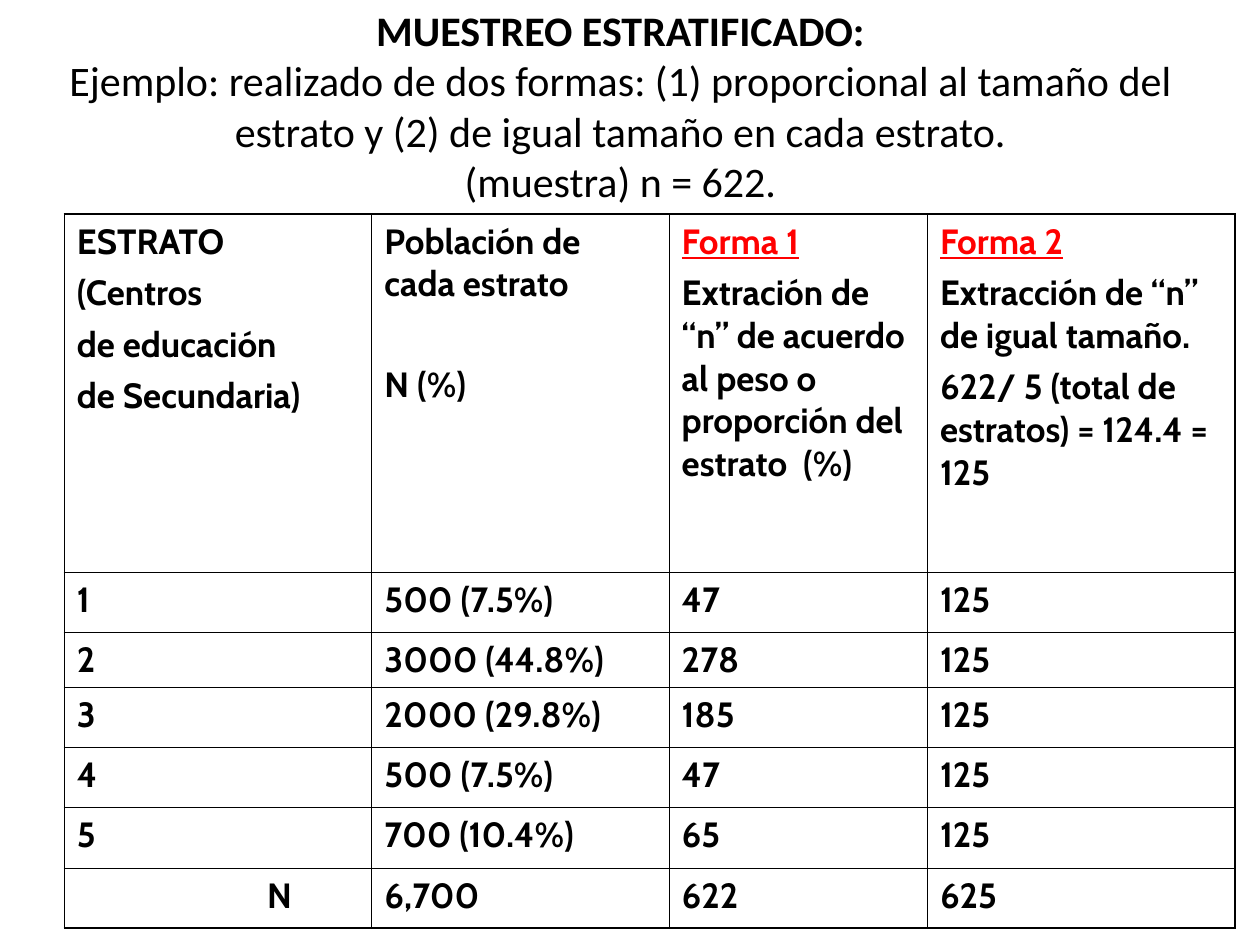
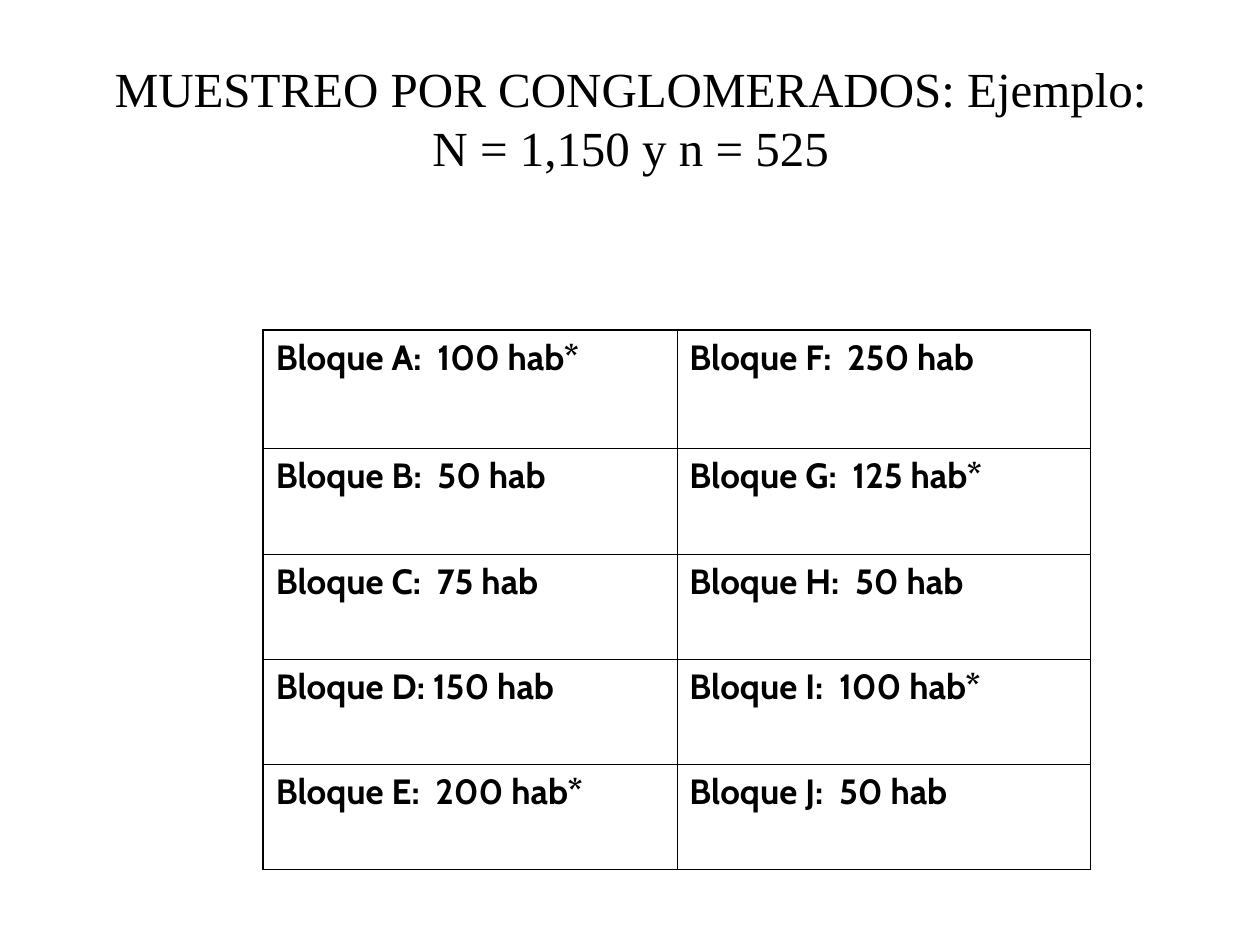
from collections import namedtuple
from dataclasses import dataclass, field

import pptx
import pptx.dml.color
import pptx.enum.text
import pptx.oxml
import pptx.oxml.ns
import pptx.util

Pt = pptx.util.Pt
RGB = pptx.dml.color.RGBColor.from_string

Box = namedtuple("Box", "left top width height")
Edges = namedtuple("Edges", "left right top bottom")


@dataclass(frozen=True)
class Theme:
    ink: str = "000000"
    paper: str = "FFFFFF"
    accent: str = "FF0000"
    table_font: str = "Cabin"
    table_size: float = 20
    space_before: float = 5
    inner_line: float = 0.45
    outer_line: float = 1.08


THEME = Theme()
HEADING = {"color": THEME.accent, "underline": True}


@dataclass
class Entry:
    """One paragraph of a table cell."""
    text: str
    look: dict = field(default_factory=dict)
    space_before: float = THEME.space_before


def format_font(font, look):
    for name, value in look.items():
        if name == "color":
            font.color.rgb = RGB(value)
        else:
            setattr(font, name, value)


def add_title(slide, box, lines, font_name, size, line_spacing=None, bottom_inset=3.6):
    """Centre the (text, bold) lines in the box, broken within one paragraph."""
    frame = slide.shapes.add_textbox(*map(Pt, box)).text_frame
    frame.word_wrap = True
    frame.vertical_anchor = pptx.enum.text.MSO_ANCHOR.MIDDLE
    frame.margin_bottom = Pt(bottom_inset)
    paragraph = frame.paragraphs[0]
    paragraph.alignment = pptx.enum.text.PP_ALIGN.CENTER
    if line_spacing:
        paragraph.line_spacing = Pt(line_spacing)
    for index, (text, bold) in enumerate(lines):
        if index:
            paragraph.add_line_break()
        run = paragraph.add_run()
        run.text = text
        format_font(run.font, {"name": font_name, "size": Pt(size),
                               "bold": bold, "color": THEME.ink})


def draw_borders(cell, widths):
    properties = cell._tc.get_or_add_tcPr()
    for tag, width in zip(("lnL", "lnR", "lnT", "lnB"), widths):
        properties.append(pptx.oxml.parse_xml(
            f'<a:{tag} {pptx.oxml.ns.nsdecls("a")} w="{Pt(width)}">'
            f'<a:solidFill><a:srgbClr val="{THEME.ink}"/></a:solidFill></a:{tag}>'))


def fill_cell(cell, content):
    entries = content if isinstance(content, list) else [Entry(content)]
    frame = cell.text_frame
    for index, entry in enumerate(entries):
        paragraph = frame.add_paragraph() if index else frame.paragraphs[0]
        paragraph.space_before = Pt(entry.space_before)
        run = paragraph.add_run()
        run.text = entry.text
        base = {"name": THEME.table_font, "size": Pt(THEME.table_size),
                "bold": True, "color": THEME.ink}
        format_font(run.font, base | entry.look)


def add_grid(slide, box, widths, heights, rows, outer):
    """Add a ruled table; outer gives the line widths of its four outside edges."""
    table = slide.shapes.add_table(len(heights), len(widths), *map(Pt, box)).table
    table.first_row = table.horz_banding = False
    for column, width in zip(table.columns, widths):
        column.width = Pt(width)
    for row, height in zip(table.rows, heights):
        row.height = Pt(height)
    last_row, last_column = len(heights) - 1, len(widths) - 1
    for r, row in enumerate(rows):
        for c, content in enumerate(row):
            cell = table.cell(r, c)
            on_edge = (c == 0, c == last_column, r == 0, r == last_row)
            draw_borders(cell, [edge if outside else THEME.inner_line
                                for edge, outside in zip(outer, on_edge)])
            cell.fill.solid()
            cell.fill.fore_color.rgb = RGB(THEME.paper)
            fill_cell(cell, content)
    return table


def build_stratified(slide):
    add_title(slide, Box(19.4, 15.1, 670.3, 90), [
        ("MUESTREO ESTRATIFICADO:", True),
        ("Ejemplo: realizado de dos formas: (1) proporcional al tamaño del "
         "estrato y (2) de igual tamaño en cada estrato.", False),
        ("(muestra) n = 622.", False),
    ], "Calibri", 24)

    header = [
        [Entry("ESTRATO"), Entry("(Centros"), Entry("de educación"),
         Entry("de Secundaria)")],
        [Entry("Población de cada estrato"), Entry("N (%)", space_before=33)],
        [Entry("Forma 1", HEADING),
         Entry("Extración de “n” de acuerdo al peso o proporción del estrato  (%)")],
        [Entry("Forma 2", HEADING), Entry("Extracción de “n” de igual tamaño."),
         Entry("622/ 5 (total de estratos) = 124.4 = 125")],
    ]
    strata = [
        ("1", "500 (7.5%)", "47", "125"),
        ("2", "3000 (44.8%)", "278", "125"),
        ("3", "2000 (29.8%)", "185", "125"),
        ("4", "500 (7.5%)", "47", "125"),
        ("5", "700 (10.4%)", "65", "125"),
    ]
    totals = ("N", "6,700", "622", "625")
    table = add_grid(slide, Box(36.8, 122.4, 668.9, 407.5),
                     [175.7, 169.9, 147.6, 175.7],
                     [204.5, 34.4, 31.5, 34.2, 34.2, 35.2, 33.8],
                     [header, *strata, totals],
                     Edges(*[THEME.outer_line] * 4))
    table.cell(len(strata) + 1, 0).margin_left = Pt(115.8)


def build_clusters(slide):
    add_title(slide, Box(25.2, 38.2, 670.3, 90), [
        ("MUESTREO POR CONGLOMERADOS: Ejemplo:", False),
        ("N = 1,150 y n = 525", False),
    ], "Times New Roman", 28, line_spacing=33.6, bottom_inset=36)

    blocks = [
        ("Bloque A:  100 hab*", "Bloque F:  250 hab"),
        ("Bloque B:  50 hab", "Bloque G:  125 hab*"),
        ("Bloque C:  75 hab", "Bloque H:  50 hab"),
        ("Bloque D: 150 hab", "Bloque I:  100 hab*"),
        ("Bloque E:  200 hab*", "Bloque J:  50 hab"),
    ]
    add_grid(slide, Box(150.4, 188.5, 472.8, 308.4),
             [236.4] * 2, [68] + [60.1] * 4, blocks,
             Edges(THEME.outer_line, THEME.inner_line,
                   THEME.outer_line, THEME.outer_line))


def main():
    deck = pptx.Presentation()
    deck.slide_width, deck.slide_height = Pt(720), Pt(540)
    blank = deck.slide_layouts[6]
    for build in (build_stratified, build_clusters):
        build(deck.slides.add_slide(blank))
    deck.save("out.pptx")


if __name__ == "__main__":
    main()
